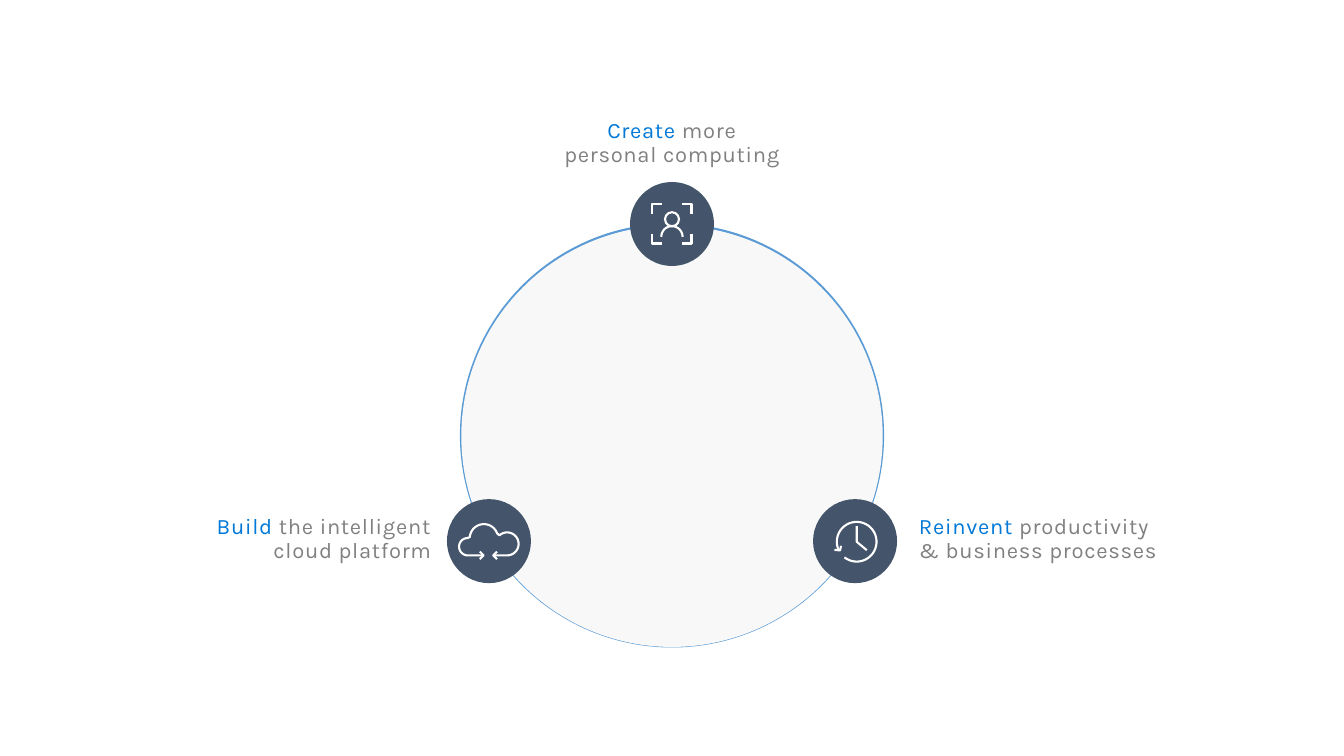
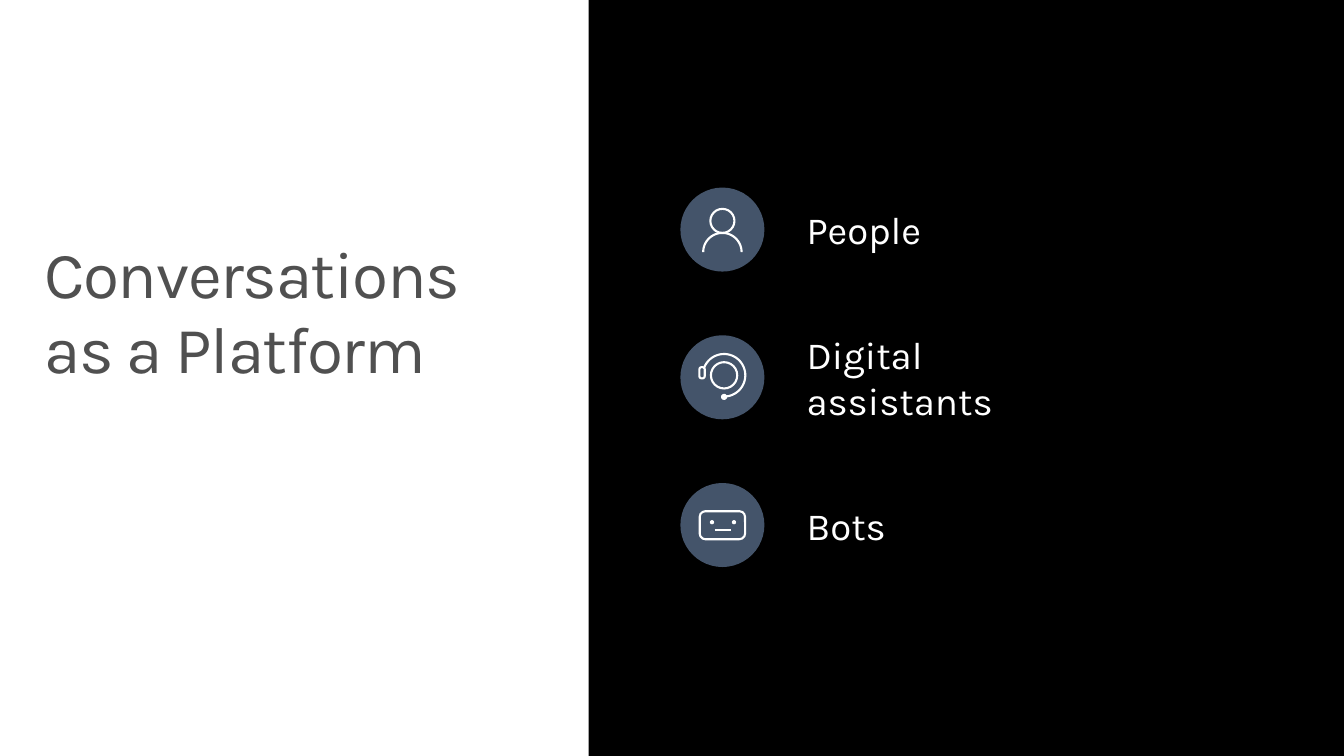
from math import cos, radians, sin

from lxml import etree
from pptx import Presentation
from pptx.dml.color import RGBColor
from pptx.enum.shapes import MSO_CONNECTOR, MSO_SHAPE
from pptx.enum.text import MSO_ANCHOR, MSO_AUTO_SIZE, PP_ALIGN
from pptx.oxml.ns import qn
from pptx.util import Pt

OVAL, RECTANGLE, ROUNDED = MSO_SHAPE.OVAL, MSO_SHAPE.RECTANGLE, MSO_SHAPE.ROUNDED_RECTANGLE
STRAIGHT = MSO_CONNECTOR.STRAIGHT
LEFT, CENTER, RIGHT = PP_ALIGN.LEFT, PP_ALIGN.CENTER, PP_ALIGN.RIGHT
TOP, MIDDLE = MSO_ANCHOR.TOP, MSO_ANCHOR.MIDDLE
NO_AUTOFIT = MSO_AUTO_SIZE.NONE

WIDTH, HEIGHT = 960, 540
TITLE_ONLY, BLANK = 5, 6
WHITE, BLACK, NAVY = "FFFFFF", "000000", "44546A"
RING_BLUE, DISC_GRAY = "5B9BD5", "F8F8F8"
ACCENT, TEXT_GRAY, TITLE_GRAY = "0078D7", "808080", "505050"
FONT = "Karla"
STROKE = 1.5
BADGE_RADIUS = 30


def color(value):
    return RGBColor.from_string(value)


def arc(x, y, radius, start, end, steps=40):
    """Points along an arc; angles in degrees, clockwise from the right."""
    angles = [radians(start + (end - start) * i / steps) for i in range(steps + 1)]
    return [(x + radius * cos(a), y + radius * sin(a)) for a in angles]


class Deck:
    def __init__(self):
        self.presentation = Presentation()
        self.presentation.slide_width = Pt(WIDTH)
        self.presentation.slide_height = Pt(HEIGHT)

    def add_slide(self, layout):
        layouts = self.presentation.slide_layouts
        self.slide = self.presentation.slides.add_slide(layouts[layout])
        self.leave_badge()

    def leave_badge(self):
        """Draw on the slide itself, from its top left corner."""
        self.shapes, self.x, self.y = self.slide.shapes, 0, 0

    # Shapes, placed relative to the current badge centre
    def finish(self, shape, fill, line):
        shape.shadow.inherit = False
        if fill:
            shape.fill.solid()
            shape.fill.fore_color.rgb = color(fill)
        else:
            shape.fill.background()
        if line:
            shape.line.color.rgb = color(line)
            shape.line.width = Pt(STROKE)
        else:
            shape.line.fill.background()

    def block(self, kind, left, top, width, height, fill=None, line=None, corner=None):
        shape = self.shapes.add_shape(
            kind, Pt(self.x + left), Pt(self.y + top), Pt(width), Pt(height))
        if corner is not None:
            shape.adjustments[0] = corner
        self.finish(shape, fill, line)

    def circle(self, x, y, radius, fill=None, line=None):
        self.block(OVAL, x - radius, y - radius, 2 * radius, 2 * radius, fill, line)

    def stroke(self, points):
        (start_x, start_y), *others = [
            (Pt(self.x + x), Pt(self.y + y)) for x, y in points]
        builder = self.shapes.build_freeform(start_x, start_y)
        builder.add_line_segments(others, close=False)
        self.finish(builder.convert_to_shape(), None, WHITE)

    def line(self, x1, y1, x2, y2):
        connector = self.shapes.add_connector(
            STRAIGHT, Pt(self.x + x1), Pt(self.y + y1), Pt(self.x + x2), Pt(self.y + y2))
        connector.line.color.rgb = color(WHITE)
        connector.line.width = Pt(STROKE)
        etree.SubElement(connector._element.spPr, qn("a:effectLst"))

    # Text
    def fill_text(self, shape, runs, size, align=LEFT, anchor=TOP, margins=(7.2, 3.6),
                  line_spacing=None, letter_spacing=0):
        """Fill a shape with (text, colour) runs; a newline is a line break."""
        frame = shape.text_frame
        frame.word_wrap = True
        frame.auto_size = NO_AUTOFIT
        frame.vertical_anchor = anchor
        frame.margin_left = frame.margin_right = Pt(margins[0])
        frame.margin_top = frame.margin_bottom = Pt(margins[1])
        paragraph = frame.paragraphs[0]
        paragraph.alignment = align
        paragraph.line_spacing = line_spacing
        paragraph.font.name = FONT
        paragraph.font.size = Pt(size)
        if letter_spacing:
            properties = paragraph._p.pPr.find(qn("a:defRPr"))
            properties.set("spc", str(round(letter_spacing * 100)))
        for text, run_color in runs:
            for index, part in enumerate(text.split("\n")):
                if index:
                    paragraph.add_line_break()
                run = paragraph.add_run()
                run.text = part
                run.font.color.rgb = color(run_color)

    def label(self, left, top, width, height, runs, size, **style):
        box = self.slide.shapes.add_textbox(Pt(left), Pt(top), Pt(width), Pt(height))
        self.fill_text(box, runs, size, **style)

    def title(self, left, top, width, height, text):
        title = self.slide.shapes.title
        title.left, title.top, title.width, title.height = map(
            Pt, (left, top, width, height))
        self.fill_text(title, [(text, TITLE_GRAY)], 47, line_spacing=0.95,
                       letter_spacing=-1)

    # Badges and their icons
    def badge(self, x, y, draw_icon):
        self.shapes = self.slide.shapes.add_group_shape().shapes
        self.x, self.y = x, y
        self.circle(0, 0, BADGE_RADIUS, NAVY)
        draw_icon()
        self.leave_badge()

    def person(self, head_y=-6.2, head=8.6, shoulders=13.7):
        self.circle(0, head_y, head, line=WHITE)
        self.stroke(arc(0, head_y + head + shoulders, shoulders, 180, 360))

    def framed_person(self):
        self.person(-3.4, 5, 7.6)
        for side in (-1, 1):
            for end in (-1, 1):
                self.stroke([(side * 14, end * 7), (side * 14, end * 14),
                             (side * 7, end * 14)])

    def clock(self):
        self.stroke(arc(1.2, 0.5, 14.2, 157, 488))
        self.stroke([(1.2, -10.7), (1.2, 0.5), (8.4, 6.5)])
        self.stroke([(-14.7, 6.3), (-10.7, 6.7), (-10, 3.4)])

    def cloud(self):
        base = 10.2
        self.stroke([(-4.5, base)] + arc(-15.1, 4, 6.2, 90, 270)
                    + arc(-3.6, -2, 10.1, 185, 340)
                    + arc(13, 2, 8.2, 228, 450) + [(3.8, base)])
        for tip, tail in ((-3.8, -6.5), (3.1, 5.8)):
            self.stroke([(tail, base - 2.7), (tip, base), (tail, base + 2.7)])

    def headset(self):
        x, y = 1.2, -1.4
        self.circle(x, y, 9.4, line=WHITE)
        self.stroke(arc(x, y, 15.2, 90, -162))
        self.circle(x, y + 15.4, 2.2, WHITE)
        self.block(ROUNDED, -16.4, -7.2, 3.8, 8, line=WHITE, corner=0.4)

    def robot(self):
        self.block(ROUNDED, -16.2, -9.8, 32.4, 20, line=WHITE, corner=0.2)
        for eye_x in (-7.4, 8.3):
            self.circle(eye_x, -2, 1.5, WHITE)
        self.line(-5.5, 3.3, 6, 3.3)


def build_ambitions(deck):
    deck.add_slide(BLANK)

    # Ring
    center_x, center_y, radius = WIDTH / 2, 311, 151
    deck.circle(center_x, center_y, radius + 0.5, RING_BLUE)
    deck.circle(center_x, center_y + 0.6, radius - 0.5, DISC_GRAY)

    # Three ambitions, evenly spread round the ring
    ambitions = [
        ("Create ", "more\npersonal computing", deck.framed_person, 359, 74, CENTER),
        ("Reinvent ", "productivity\n& business processes", deck.clock, 642, 357, LEFT),
        ("Build ", "the intelligent\ncloud platform", deck.cloud, 80.5, 357, RIGHT),
    ]
    for index, (verb, rest, icon, left, top, align) in enumerate(ambitions):
        angle = radians(-90 + 120 * index)
        deck.badge(center_x + radius * cos(angle), center_y + radius * sin(angle), icon)
        deck.label(left, top, 242, 57, [(verb, ACCENT), (rest, TEXT_GRAY)], 15.7,
                   align=align, margins=(14.4, 11.5), line_spacing=0.9,
                   letter_spacing=0.5)


def build_conversations(deck):
    deck.add_slide(TITLE_ONLY)
    deck.title(24.5, 167, 372, 115, "Conversations\nas a Platform")

    # Dark panel with the three participants
    deck.block(RECTANGLE, 420.5, 0, WIDTH - 420.5, HEIGHT, BLACK)
    participants = [("People", deck.person), ("Digital assistants", deck.headset),
                    ("Bots", deck.robot)]
    for index, (name, icon) in enumerate(participants):
        center_y = 164 + 105.5 * index
        deck.badge(516, center_y, icon)
        deck.label(569, center_y - 20, 203, 40, [(name, WHITE)], 27.4, anchor=MIDDLE)


def main():
    deck = Deck()
    build_ambitions(deck)
    build_conversations(deck)
    deck.presentation.save("out.pptx")


if __name__ == "__main__":
    main()
